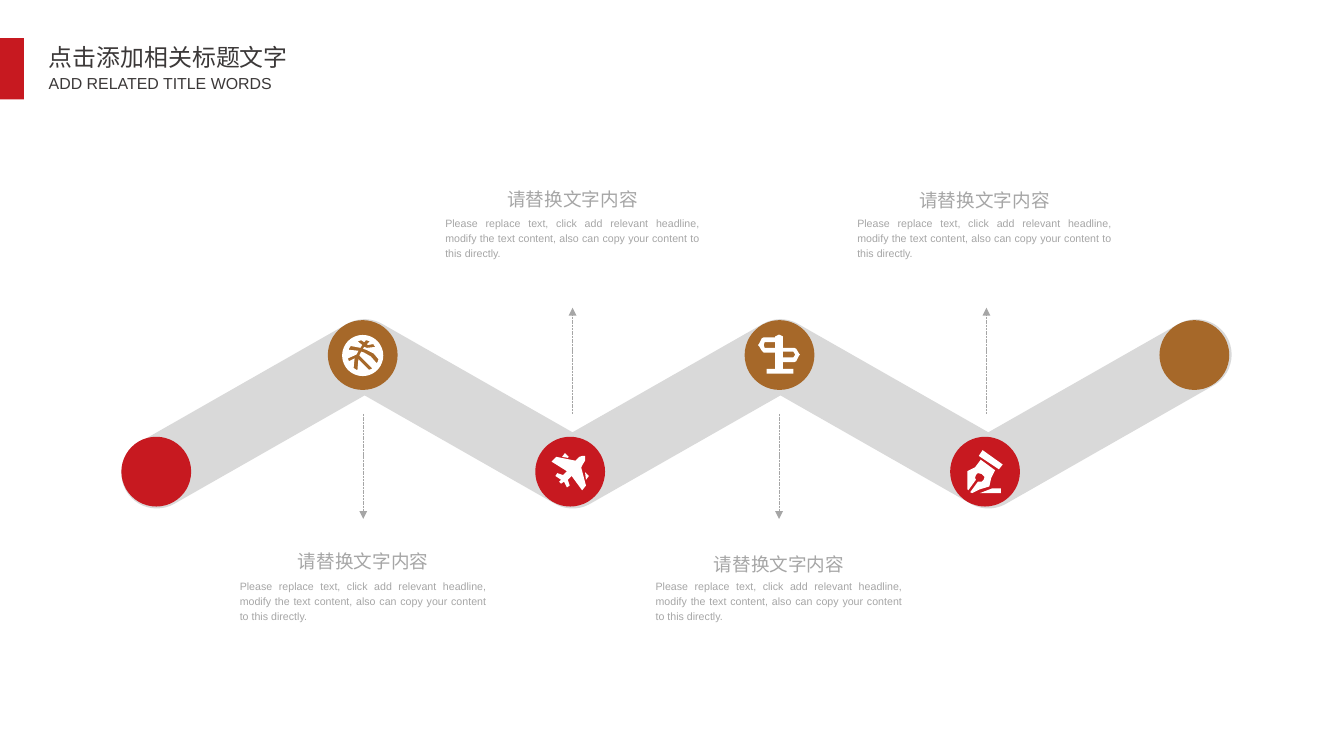
from math import cos, radians, sin

from lxml import etree
from pptx import Presentation
from pptx.dml.color import RGBColor
from pptx.enum.dml import MSO_LINE
from pptx.enum.shapes import MSO_CONNECTOR, MSO_SHAPE
from pptx.enum.text import MSO_ANCHOR, MSO_AUTO_SIZE, PP_ALIGN
from pptx.oxml.ns import qn
from pptx.util import Inches, Pt

LEFT, CENTER, JUSTIFY = PP_ALIGN.LEFT, PP_ALIGN.CENTER, PP_ALIGN.JUSTIFY
TOP, GROW = MSO_ANCHOR.TOP, MSO_AUTO_SIZE.SHAPE_TO_FIT_TEXT
RECTANGLE, OVAL = MSO_SHAPE.RECTANGLE, MSO_SHAPE.OVAL
STRAIGHT, DASH = MSO_CONNECTOR.STRAIGHT, MSO_LINE.SQUARE_DOT

COLORS = {"red": "C71920", "brown": "A66829", "band": "D9D9D9",
          "white": "FFFFFF", "gray": "A6A6A6", "dark": "3B3838"}
LATIN, CHINESE = "Arial", "Noto Sans CJK SC"

HEADING = "请替换文字内容"
BODY = ("Please replace text, click add relevant headline, modify the text "
        "content, also can copy your content to this directly.")

# Zigzag band: evenly spaced nodes, low and high in turn
BAND_START, BAND_STEP, BAND_RADIUS, BAND_TILT = 1.64, 2.175, 0.37, 30
LOW, HIGH = 4.95, 3.71

DISC_SIZE = 0.73
DISC_LEFTS = [1.27, 3.43, 5.6, 7.79, 9.94, 12.13]
DISC_STYLES = [(4.57, "red"), (3.35, "brown")]

# Arrow x, arrow end, text center, heading top, body top, body width
CALLOUTS = [
    (3.8, 5.43, 3.8, 5.66, 5.99, 2.78),
    (8.15, 5.43, 8.15, 5.69, 5.99, 2.78),
    (5.99, 3.22, 5.99, 1.87, 2.19, 2.86),
    (10.32, 3.22, 10.3, 1.88, 2.19, 2.86),
]
ARROW_START = 4.33


def arc(x, y, radius, start, end, steps=24):
    angles = [radians(start + (end - start) * i / steps) for i in range(steps + 1)]
    return [(x + radius * cos(a), y + radius * sin(a)) for a in angles]


# Icon outlines in hundredths of an inch, with the icon's left and top
BALL = (3.58, 3.5, [
    arc(21.5, 22, 21.5, 0, 360, 48),
    [(9, 12), (7, 15), (7, 16), (17, 17), (16, 19), (15, 21), (6, 25), (7, 28),
     (13, 25), (12, 35), (15, 37), (16, 37), (17, 26), (22, 31), (28, 37),
     (31, 36), (31, 35), (25, 29), (18, 22), (19, 20), (20, 18), (23, 19),
     (30, 23), (36, 30), (37, 29), (38, 26), (33, 20), (25, 16), (22, 15),
     (23, 13), (26, 14), (35, 13), (33, 11), (33, 10), (27, 11), (26, 10),
     (29, 7), (25, 6), (23, 8), (20, 6), (17, 7), (16, 7), (21, 11), (19, 14)],
])
SIGNPOST = (7.93, 3.5, [
    [(18, 8), (7, 8), (6, 11), (7, 14), (18, 14)],
    [(26, 14), (38, 14), (40, 15), (43, 20), (44, 21), (43, 22), (40, 28),
     (38, 29), (26, 29), (26, 36), (37, 36), (37, 41), (9, 41), (9, 36),
     (18, 36), (18, 19), (6, 19), (4, 17), (1, 12), (0, 11), (1, 10), (4, 4),
     (6, 3), (18, 3), (18, 2), (22, 0), (26, 2)],
    [(37, 18), (26, 18), (26, 24), (37, 24), (39, 21)],
])
PLANE = (5.77, 4.74, [
    [(35, 3), (35, 8), (32, 13), (31, 15), (36, 34), (32, 39), (21, 24),
     (17, 28), (19, 34), (16, 36), (13, 30), (10, 32), (8, 30), (10, 28),
     (4, 24), (6, 21), (12, 23), (16, 19), (0, 9), (5, 4), (25, 8), (29, 4),
     (32, 3)],
    [(39, 24), (35, 20), (36, 28)],
    [(14, 0), (11, 4), (17, 5), (18, 4)],
])
PEN = (10.12, 4.71, [
    [(1, 42), (0, 41), (0, 22), (8, 18), (14, 10), (29, 21), (25, 29), (23, 38),
     (13, 41), (5, 45), (3, 44), (11, 33), (15, 33), (17, 31), (18, 28),
     (15, 25), (11, 24), (9, 26), (8, 29), (9, 31)],
    [(13, 45), (35, 45), (35, 40), (26, 40)],
    [(33, 20), (37, 15), (16, 0), (12, 6)],
])


def paint(shape, color):
    shape.shadow.inherit = False
    shape.fill.solid()
    shape.fill.fore_color.rgb = RGBColor.from_string(COLORS[color])
    shape.line.fill.background()


def add_block(page, kind, left, top, width, height, color):
    block = page.shapes.add_shape(
        kind, Inches(left), Inches(top), Inches(width), Inches(height))
    paint(block, color)


def add_outline(page, contours, color):
    contours = [[(Inches(x), Inches(y)) for x, y in points] for points in contours]
    builder = page.shapes.build_freeform(*contours[0][0], scale=1.0)
    for index, points in enumerate(contours):
        if index:
            builder.move_to(*points[0])
        builder.add_line_segments(points[1:], close=True)
    paint(builder.convert_to_shape(), color)


def add_icon(page, left, top, contours):
    add_outline(page, [[(left + x / 100, top + y / 100) for x, y in points]
                       for points in contours], "white")


def add_band(page):
    nodes = [(BAND_START + BAND_STEP * i, HIGH if i % 2 else LOW) for i in range(6)]
    notch = BAND_RADIUS / cos(radians(BAND_TILT))
    up, down = 270 - BAND_TILT, 270 + BAND_TILT
    outline = arc(*nodes[0], BAND_RADIUS, up - 180, up)
    # Upper edge, left to right
    for x, y in nodes[1:-1]:
        outline += arc(x, y, BAND_RADIUS, up, down) if y == HIGH else [(x, y - notch)]
    outline += arc(*nodes[-1], BAND_RADIUS, up, up + 180)
    # Lower edge, right to left
    for x, y in nodes[-2:0:-1]:
        outline += (arc(x, y, BAND_RADIUS, up - 180, down - 180) if y == LOW
                    else [(x, y + notch)])
    add_outline(page, [outline], "band")


def add_arrow(page, x, start, end):
    arrow = page.shapes.add_connector(
        STRAIGHT, Inches(x), Inches(start), Inches(x), Inches(end))
    arrow.line.color.rgb = RGBColor.from_string(COLORS["gray"])
    arrow.line.width, arrow.line.dash_style = Pt(0.5), DASH
    etree.SubElement(arrow.line._get_or_add_ln(), qn("a:tailEnd"), type="triangle")
    etree.SubElement(arrow._element.spPr, qn("a:effectLst"))


def write(box, text, size, color, align, font=LATIN, spacing=1.0, wrap=False):
    frame = box.text_frame
    para = frame.paragraphs[0]
    span = para.add_run()
    span.text = text
    formats = [
        (frame, {"word_wrap": wrap, "auto_size": GROW, "vertical_anchor": TOP}),
        (para, {"alignment": align, "line_spacing": spacing, "space_before": Pt(0)}),
        (span.font, {"size": Pt(size), "name": font}),
    ]
    for target, values in formats:
        for name, value in values.items():
            setattr(target, name, value)
    span.font.color.rgb = RGBColor.from_string(COLORS[color])
    etree.SubElement(span._r.get_or_add_rPr(), qn("a:ea"), typeface=CHINESE)


def place(box, left, top, width, height):
    box.left, box.top = Inches(left), Inches(top)
    box.width, box.height = Inches(width), Inches(height)


def add_text(page, center, top, width, height, *content, **options):
    box = page.shapes.add_textbox(
        Inches(center - width / 2), Inches(top), Inches(width), Inches(height))
    write(box, *content, spacing=1.2, **options)


def add_callout(page, arrow_x, arrow_end, center, heading_top, body_top, body_width):
    add_arrow(page, arrow_x, ARROW_START, arrow_end)
    add_text(page, center, heading_top, 1.58, 0.36, HEADING, 14, "gray", CENTER)
    add_text(page, center, body_top, body_width, 0.57, BODY, 8, "gray", JUSTIFY,
             wrap=True)


def main():
    deck = Presentation()
    deck.slide_width, deck.slide_height = Inches(14.06), Inches(7.91)
    page = deck.slides.add_slide(deck.slide_layouts[0])

    # Title block
    add_block(page, RECTANGLE, 0, 0.4, 0.25, 0.64, "red")
    title, subtitle = page.placeholders
    place(title, 0.41, 0.4, 2.74, 0.41)
    write(title, "点击添加相关标题文字", 18, "dark", LEFT, CHINESE)
    place(subtitle, 0.41, 0.72, 2.57, 0.31)
    write(subtitle, "ADD RELATED TITLE WORDS", 12, "dark", LEFT)

    # Zigzag with its discs and icons
    add_band(page)
    for index, left in enumerate(DISC_LEFTS):
        top, color = DISC_STYLES[index % 2]
        add_block(page, OVAL, left, top, DISC_SIZE, DISC_SIZE, color)
    for icon in (BALL, SIGNPOST, PLANE, PEN):
        add_icon(page, *icon)

    # Arrows and captions
    for callout in CALLOUTS:
        add_callout(page, *callout)

    deck.save("out.pptx")


if __name__ == "__main__":
    main()
